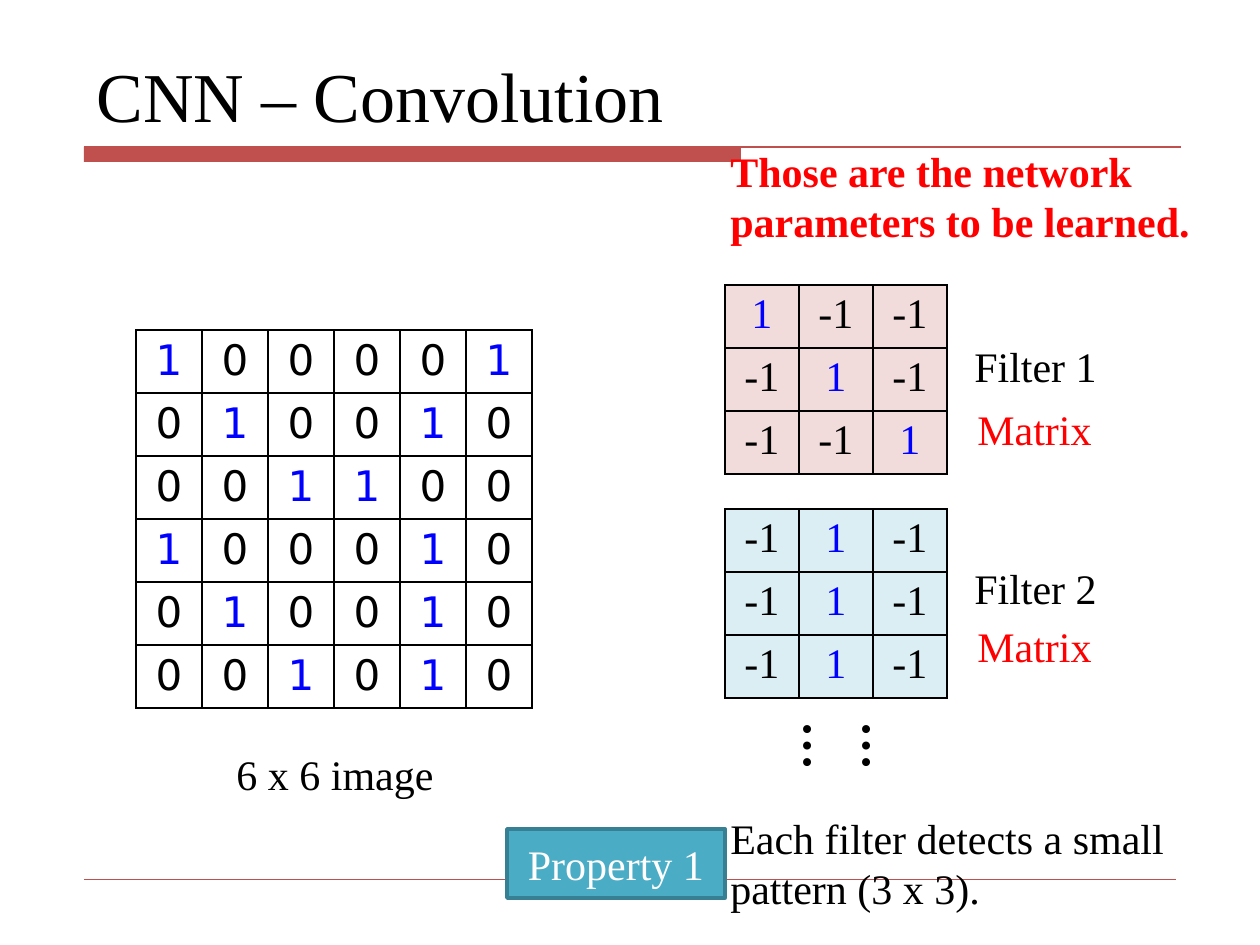
from lxml import etree
from pptx import Presentation, util as u
from pptx.dml.color import RGBColor
from pptx.enum import shapes, text
from pptx.oxml import parse_xml
from pptx.oxml.ns import nsdecls, qn

PX = 914400 / 126
SERIF, SANS = "Times New Roman", "DejaVu Sans"
BLACK, BLUE, RED, BRICK, TEAL = "000000", "0000FF", "FF0000", "C0504D", "4BACC6"
CENTER = text.PP_ALIGN.CENTER

# Content: position and size in px
IMAGE = ["100001", "010010", "001100", "100010", "010010", "001010"]
FILTER_1 = [[1, -1, -1], [-1, 1, -1], [-1, -1, 1]]
FILTER_2 = [[-1, 1, -1]] * 3
GRIDS = [  # left, top, cell width, values, font, fill
    (725, 285, 74, FILTER_1, SERIF, "F2DCDB"),
    (725, 509, 74, FILTER_2, SERIF, "DBEEF4"),
    (136, 330, 66, IMAGE, SANS, None),
]
ROW_HEIGHT = 63
LABELS = [
    ("CNN – Convolution", (84, 42, 1101, 101),
     dict(size=40, anchor=text.MSO_ANCHOR.BOTTOM)),
    ("6 x 6 image", (173, 742, 324, 63), dict(align=CENTER)),
    ("Filter 1", (936, 334, 199, 63), dict(align=CENTER)),
    ("Filter 2", (936, 556, 199, 63), dict(align=CENTER)),
    ("……", (804, 692, 97, 131), dict(size=28, bold=True, rotation=90)),
    ("Those are the network parameters to be learned.", (718, 139, 490, 115),
     dict(color=RED, bold=True)),
    ("Matrix", (965, 397, 141, 63), dict(color=RED)),
    ("Matrix", (965, 614, 141, 63), dict(color=RED)),
    ("Each filter detects a small pattern (3 x 3).", (718, 806, 490, 115), {}),
]


def px(*values):
    return [u.Emu(round(value * PX)) for value in values]


def rgb(code):
    return RGBColor.from_string(code)


def write(frame, words, size=24, font=SERIF, color=BLACK, bold=False, align=None):
    para = frame.paragraphs[0]
    if align is not None:
        para.alignment = align
    span = para.add_run()
    span.text = words
    span.font.size, span.font.name = u.Pt(size), font
    span.font.bold = bold
    span.font.color.rgb = rgb(color)


def add_label(page, words, place, rotation=0, anchor=text.MSO_ANCHOR.TOP, **style):
    box = page.shapes.add_textbox(*px(*place))
    box.rotation = rotation
    box.text_frame.word_wrap = True
    box.text_frame.vertical_anchor = anchor
    write(box.text_frame, words, **style)


def add_box(page, place, fill, line=None, width=0):
    box = page.shapes.add_shape(shapes.MSO_SHAPE.RECTANGLE, *px(*place))
    box.shadow.inherit = False
    box.fill.solid()
    box.fill.fore_color.rgb = rgb(fill)
    if line:
        box.line.color.rgb = rgb(line)
        box.line.width = u.Pt(width)
    else:
        box.line.fill.background()
    return box


def add_rule(page, left, right, y, width):
    rule = page.shapes.add_connector(shapes.MSO_CONNECTOR.STRAIGHT, *px(left, y, right, y))
    rule.line.color.rgb = rgb(BRICK)
    rule.line.width = u.Pt(width)
    etree.SubElement(rule._element.spPr, qn("a:effectLst"))


def add_borders(cell):
    properties = cell._tc.get_or_add_tcPr()
    for index, side in enumerate(("lnL", "lnR", "lnT", "lnB")):
        properties.insert(index, parse_xml(
            f'<a:{side} {nsdecls("a")} w="12700"><a:solidFill>'
            f'<a:srgbClr val="{BLACK}"/></a:solidFill></a:{side}>'))


def add_grid(page, left, top, cell_width, values, font, fill):
    rows, columns = len(values), len(values[0])
    table = page.shapes.add_table(
        rows, columns, *px(left, top, cell_width * columns, ROW_HEIGHT * rows)).table
    table.first_row = table.horz_banding = False
    for r, row in enumerate(values):
        for c, value in enumerate(row):
            cell = table.cell(r, c)
            if fill:
                cell.fill.solid()
                cell.fill.fore_color.rgb = rgb(fill)
            else:
                cell.fill.background()
            add_borders(cell)
            write(cell.text_frame, str(value), font=font, align=CENTER,
                  color=BLUE if str(value) == "1" else BLACK)


def main():
    deck = Presentation()
    deck.slide_width, deck.slide_height = px(1260, 945)
    page = deck.slides.add_slide(deck.slide_layouts[6])

    # Title bar and footer rule
    add_box(page, (84, 147, 657, 15), BRICK)
    add_rule(page, 84, 1181, 147, 0.75)
    add_rule(page, 84, 1176, 879, 0.25)

    # Image and filter matrices
    for grid in GRIDS:
        add_grid(page, *grid)

    # Title, captions and notes
    for words, place, style in LABELS:
        add_label(page, words, place, **style)

    # Property tag
    tag = add_box(page, (507, 829, 218, 69), TEAL, "377F92", 2)
    tag.text_frame.vertical_anchor = text.MSO_ANCHOR.MIDDLE
    write(tag.text_frame, "Property 1", color="FFFFFF", align=CENTER)

    deck.save("out.pptx")


if __name__ == "__main__":
    main()
